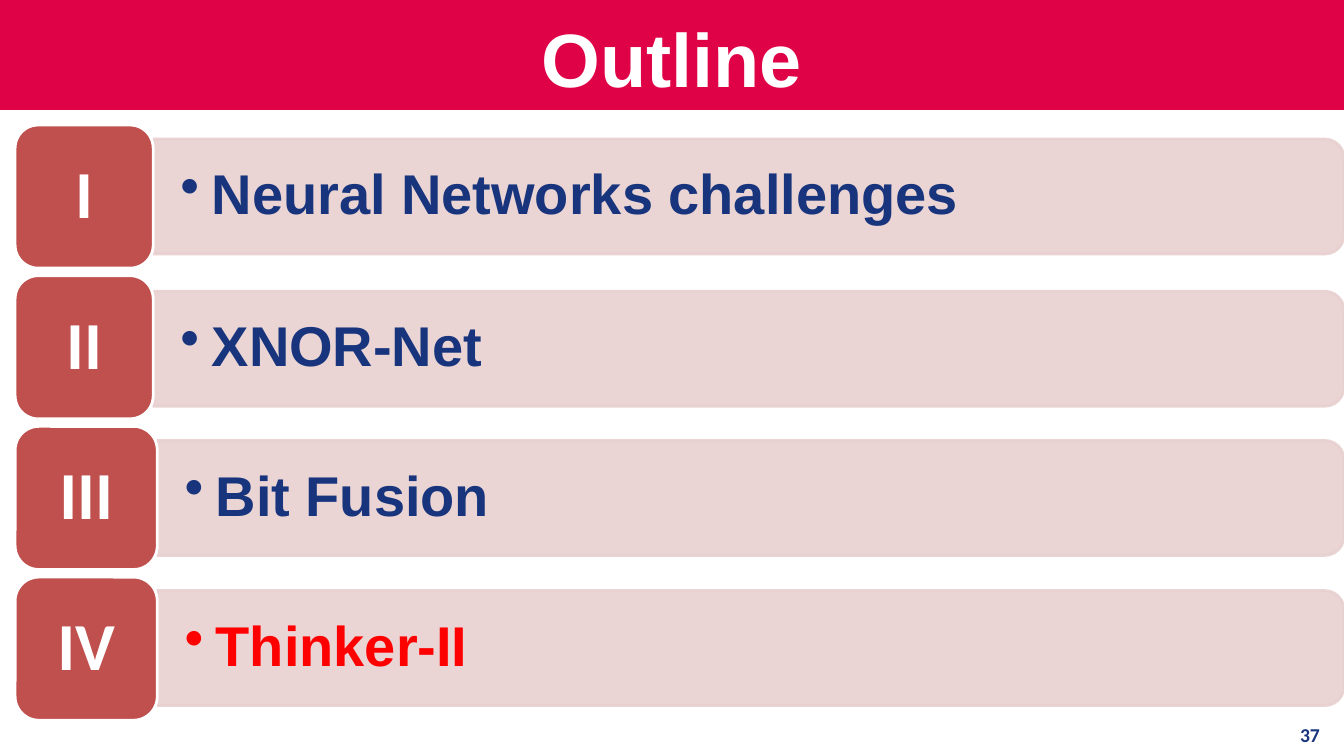
from lxml import etree
from pptx import Presentation
from pptx.dml import color
from pptx.enum import shapes, text
from pptx.oxml import ns
from pptx.util import Inches, Pt

RED = color.RGBColor(0xE0, 0x02, 0x47)
PINK = color.RGBColor(0xE8, 0xD0, 0xD0)
BRICK = color.RGBColor(0xC0, 0x50, 0x4D)
NAVY = color.RGBColor(0x17, 0x34, 0x7D)
ALERT = color.RGBColor(0xFF, 0x00, 0x00)
WHITE = color.RGBColor(0xFF, 0xFF, 0xFF)
KIND = shapes.MSO_SHAPE
ALIGN = text.PP_ALIGN
WIDE, TALL = 13.33, 7.5
TOP, STEP, SIDE = 1.24, 1.495, 0.15
DEEP, BAR = 1.42, 1.14
ROWS = [
    ("I", "Neural Networks challenges", NAVY, 1.37, 1.95),
    ("II", "XNOR-Net", NAVY, 1.37, 3.46),
    ("III", "Bit Fusion", NAVY, 1.41, 4.94),
    ("IV", "Thinker-II", ALERT, 1.41, 6.43),
]


def add_shape(slide, kind, box, fill, line=None):
    """Draw a filled preset shape with an optional outline."""
    item = slide.shapes.add_shape(kind, *map(Inches, box))
    item.shadow.inherit = False
    item.fill.solid()
    item.fill.fore_color.rgb = fill
    if line is None:
        item.line.fill.background()
    else:
        item.line.color.rgb = line
        item.line.width = Pt(2)
    return item


def set_text(item, words, size, name, tint, align, pad=(0.1, 0.05), gap=1.0, dot=False):
    """Write one bold, vertically centred line into a shape."""
    frame = item.text_frame
    side, edge = map(Inches, pad)
    look = {
        "word_wrap": True,
        "vertical_anchor": text.MSO_ANCHOR.MIDDLE,
        "margin_left": side,
        "margin_right": side,
        "margin_top": edge,
        "margin_bottom": edge,
    }
    for key, value in look.items():
        setattr(frame, key, value)
    para = frame.paragraphs[0]
    para.alignment = align
    para.line_spacing = gap
    if dot:
        add_dot(para)
    run = para.add_run()
    run.text = words
    run.font.color.rgb = tint
    for key, value in {"size": Pt(size), "name": name, "bold": True}.items():
        setattr(run.font, key, value)


def add_dot(para):
    """Give a paragraph a hanging round bullet."""
    props = para._p.get_or_add_pPr()
    props.set("marL", str(Inches(0.31)))
    props.set("indent", str(-Inches(0.31)))
    etree.SubElement(props, ns.qn("a:buChar")).set("char", "•")


def add_text(slide, box, *args, **opts):
    """Place a text box holding one line."""
    set_text(slide.shapes.add_textbox(*map(Inches, box)), *args, **opts)


def add_bar(slide, left, mid):
    """Draw a translucent bar with its right corners rounded."""
    span = WIDE - left
    box = (left + (span - BAR) / 2, mid - span / 2, BAR, span)
    bar = add_shape(slide, KIND.ROUND_2_SAME_RECTANGLE, box, PINK, PINK)
    bar.rotation = 90
    for tint in bar._element.spPr.iter(ns.qn("a:srgbClr")):
        etree.SubElement(tint, ns.qn("a:alpha")).set("val", "90000")


def add_row(slide, top, mark, words, tint, width, mid):
    """Draw one outline entry with its numeral tile."""
    left = SIDE + width
    add_bar(slide, left, mid)
    add_text(slide, (left, mid - 0.515, WIDE - left - 0.06, 1.03), words, 40,
             "Arial", tint, ALIGN.LEFT, pad=(0.27, 0.14), gap=0.9, dot=True)
    tile = add_shape(slide, KIND.ROUNDED_RECTANGLE, (SIDE, top, width, DEEP), BRICK, WHITE)
    set_text(tile, mark, 48, "Calibri", WHITE, ALIGN.CENTER, pad=(0.2, 0.1), gap=0.9)


def main():
    """Build the outline slide."""
    deck = Presentation()
    deck.slide_width, deck.slide_height = Inches(WIDE), Inches(TALL)
    slide = deck.slides.add_slide(deck.slide_layouts[6])
    add_shape(slide, KIND.RECTANGLE, (0, 0, WIDE, 1.09), RED)
    add_text(slide, (0.11, 0.11, 13.11, 0.91), "Outline", 54, "Arial", WHITE, ALIGN.CENTER)
    add_text(slide, (12.38, 7.09, 0.81, 0.4), "37", 14, "Calibri", NAVY, ALIGN.RIGHT)
    for i, row in enumerate(ROWS):
        add_row(slide, TOP + i * STEP, *row)
    deck.save("out.pptx")


if __name__ == "__main__":
    main()
